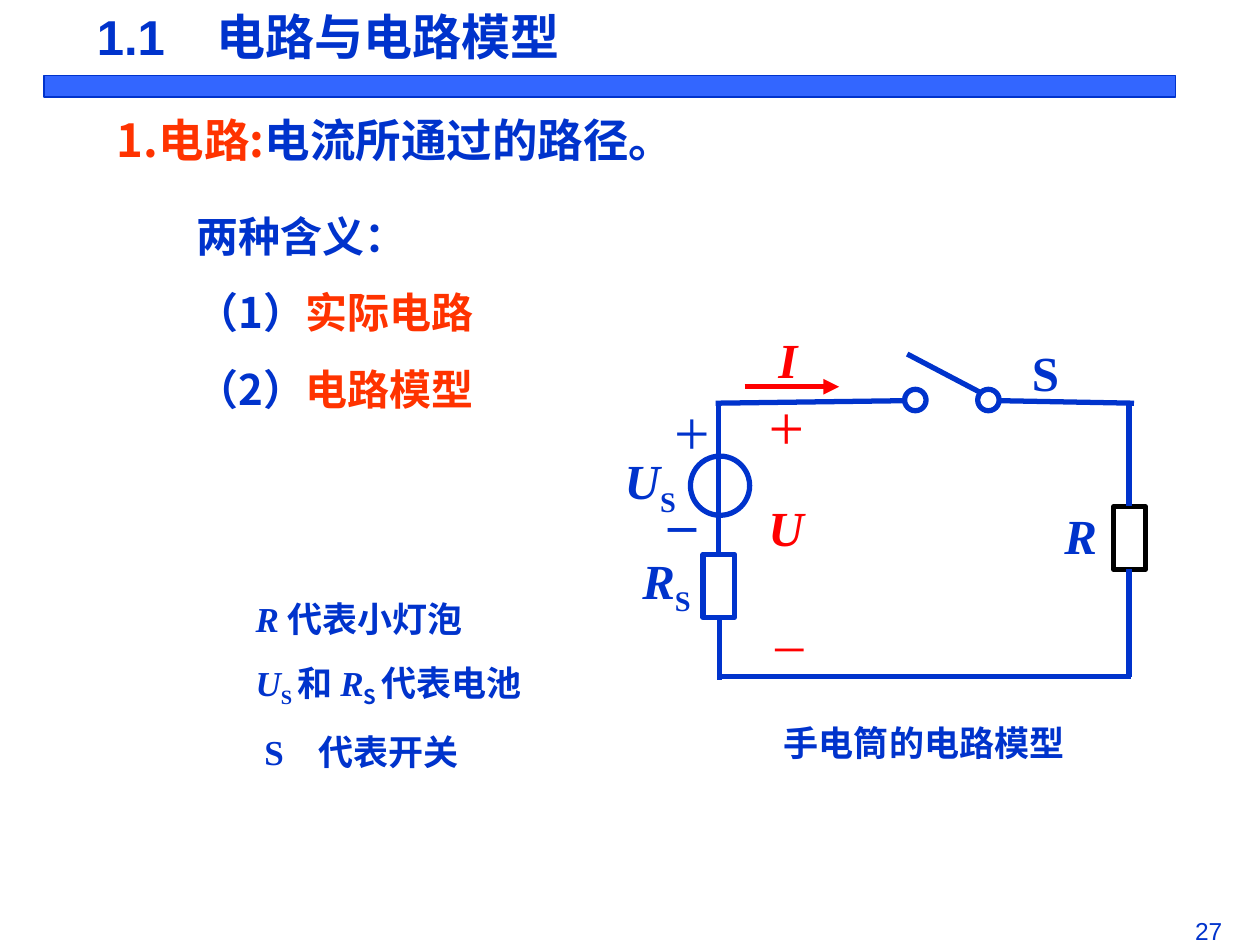
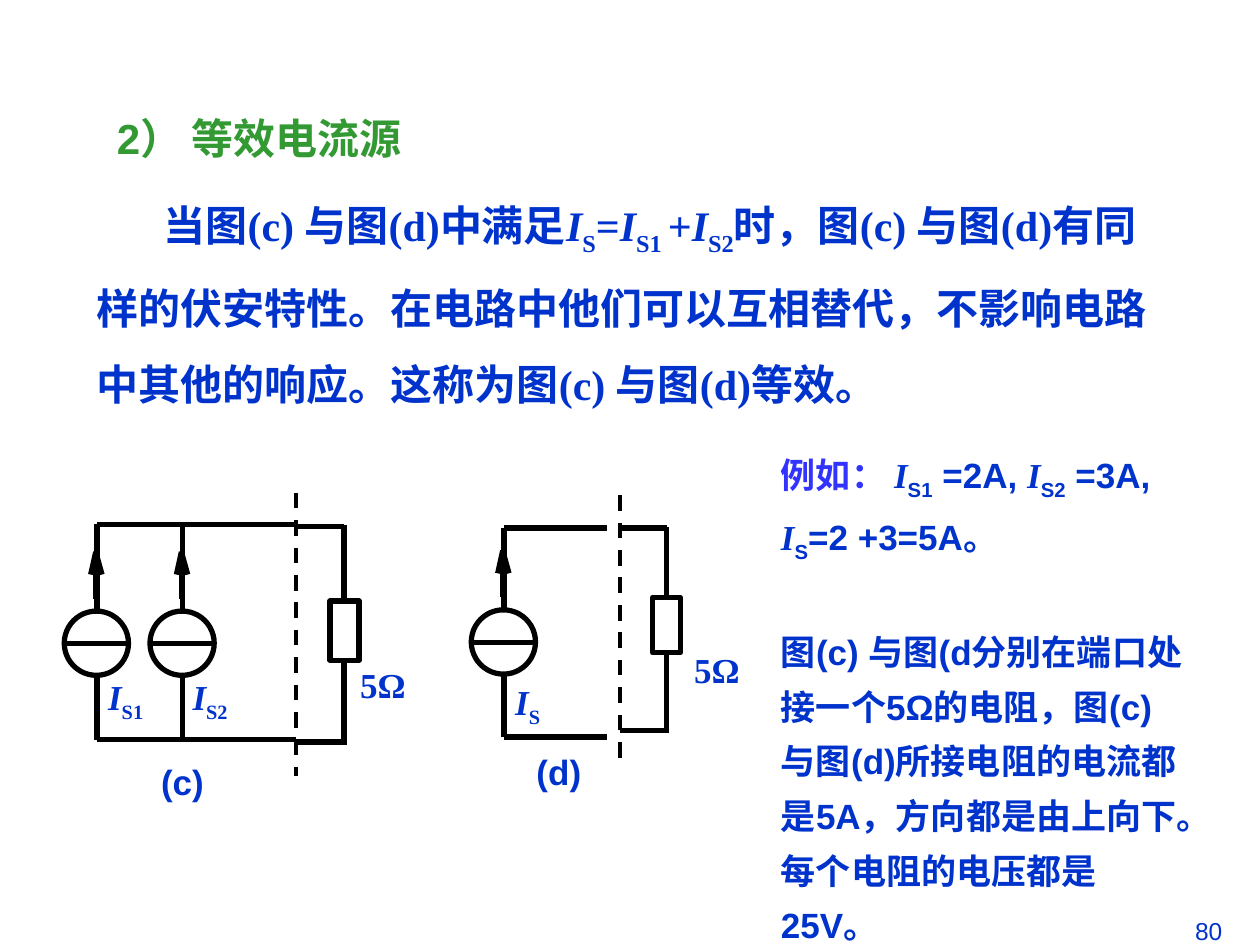
from dataclasses import dataclass
from typing import NamedTuple

from lxml.etree import SubElement
from pptx import Presentation
from pptx.dml.color import RGBColor as Rgb
from pptx.enum.dml import MSO_LINE as Dash
from pptx.enum.shapes import MSO_CONNECTOR as Link, MSO_SHAPE as Kind
from pptx.enum.text import PP_ALIGN as Align
from pptx.oxml.ns import qn
from pptx.util import Emu, Pt

PX = 9144
COLORS = {"blue": "0033CC", "bar": "3366FF", "lead": "3333FF", "orange": "FF3300",
          "red": "FF0000", "green": "339933", "black": "000000", "white": "FFFFFF"}
SANS, SERIF, HAN = "Arial", "Times New Roman", "Noto Sans CJK SC"


class Box(NamedTuple):
    """Place and size in px."""
    x: int
    y: int
    w: int
    h: int


class Run(NamedTuple):
    """Words with the format that differs from their box."""
    words: str
    fmt: dict


class Label(NamedTuple):
    """Short text set in one format."""
    box: Box
    runs: list
    fmt: dict


class Wire(NamedTuple):
    """Straight line between two points."""
    x1: int
    y1: int
    x2: int
    y2: int


@dataclass
class Cell:
    """Current sources on two rails, with a load behind a dashed port."""
    name: Label
    feeds: list[int]
    top: int
    low: int
    mid: int
    end: int
    port: Wire
    load: Box
    roof: int
    floor: int
    labels: list[Label]


def px(num: int) -> Emu:
    """Turn px into EMU."""
    return Emu(num * PX)


def rgb(name: str) -> Rgb:
    """Look up a colour."""
    return Rgb.from_string(COLORS[name])


def run(words: str, **fmt) -> Run:
    """Make a run."""
    return Run(words, fmt)


def var(name: str, sub: str, font: str = SERIF, **fmt) -> list[Run]:
    """Make an italic symbol with a subscript."""
    return [run(name, italic=True, font=SERIF, **fmt), run(sub, sub=True, font=font, **fmt)]


def style(item, size=20, font=SANS, color="blue", bold=True, italic=False, sub=False) -> None:
    """Format one run."""
    face = item.font
    face.size, face.name, face.bold, face.italic = Pt(size), font, bold, italic
    face.color.rgb = rgb(color)
    props = item._r.get_or_add_rPr()
    SubElement(props, qn("a:ea")).set("typeface", HAN)
    if sub:
        props.set("baseline", "-25000")


def text(slide, box: Box, paras: list, align=Align.LEFT, gap=0.0, line=None,
         indent=0, tab=0, **fmt) -> None:
    """Write paragraphs of runs; indent and tab apply to the last one."""
    frame = slide.shapes.add_textbox(*map(px, box)).text_frame
    frame.word_wrap = True
    for num, runs in enumerate(paras):
        para = frame.add_paragraph() if num else frame.paragraphs[0]
        para.alignment = align
        if num:
            para.space_before = Pt(gap)
        if line:
            para.line_spacing = line
        if num == len(paras) - 1:
            props = para._p.get_or_add_pPr()
            if indent:
                props.set("marL", "0")
                props.set("indent", str(px(indent)))
            if tab:
                stop = SubElement(SubElement(props, qn("a:tabLst")), qn("a:tab"))
                stop.set("pos", str(px(tab)))
                stop.set("algn", "l")
        for words, own in runs:
            item = para.add_run()
            item.text = words
            style(item, **{**fmt, **own})


def put(slide, labels: list[Label]) -> None:
    """Write a set of labels."""
    for box, runs, fmt in labels:
        text(slide, box, [runs], **fmt)


def shape(slide, kind, box: Box, color: str, fill: str = "", width: float = 3) -> None:
    """Draw an outlined shape."""
    item = slide.shapes.add_shape(kind, *map(px, box))
    item.shadow.inherit = False
    if fill:
        item.fill.solid()
        item.fill.fore_color.rgb = rgb(fill)
    else:
        item.fill.background()
    item.line.color.rgb = rgb(color)
    item.line.width = Pt(width)


def wire(slide, ends: Wire, color: str, width: float = 3, dash=None, arrow=False) -> None:
    """Draw a straight line."""
    item = slide.shapes.add_connector(Link.STRAIGHT, *map(px, ends))
    item.line.color.rgb = rgb(color)
    item.line.width = Pt(width)
    if dash:
        item.line.dash_style = dash
    if arrow:
        SubElement(item.line._get_or_add_ln(), qn("a:tailEnd")).set("type", "triangle")
    SubElement(item._element.spPr, qn("a:effectLst"))


def page(deck, num: int):
    """Add a blank slide with its page number."""
    slide = deck.slides.add_slide(deck.slide_layouts[6])
    text(slide, Box(730, 722, 250, 28), [[run(str(num))]], align=Align.RIGHT, size=14, bold=False)
    return slide


def feed(slide, x: int, cell: Cell) -> None:
    """Draw one current source and its arrow."""
    mid, tip = cell.mid, cell.mid - 72
    wire(slide, Wire(x, cell.top, x, cell.low), "black")
    shape(slide, Kind.OVAL, Box(x - 26, mid - 25, 51, 51), "black", "white")
    wire(slide, Wire(x - 26, mid + 1, x + 24, mid + 1), "black")
    for dx, dy in ((-5, 18), (4, 18), (-1, 37)):
        wire(slide, Wire(x - 1, tip, x + dx, tip + dy), "black")


def draw(slide, cell: Cell) -> None:
    """Draw a source circuit with its load."""
    for x in cell.feeds:
        feed(slide, x, cell)
    for y in (cell.top, cell.low):
        wire(slide, Wire(cell.feeds[0], y, cell.end, y), "black")
    side = cell.load.x + 11
    wire(slide, Wire(side, cell.roof - 1, side, cell.floor + 2), "black")
    shape(slide, Kind.RECTANGLE, cell.load, "black", "white")
    for y in (cell.roof, cell.floor):
        wire(slide, Wire(cell.port.x1, y, side, y), "black")
    wire(slide, cell.port, "black", 2.25, Dash.DASH)
    put(slide, [cell.name, *cell.labels])


def model(slide) -> None:
    """Draw the circuit model of the torch."""
    wires = [Wire(570, 440, 570, 318), Wire(571, 490, 571, 540), Wire(570, 537, 898, 537),
             Wire(896, 319, 896, 402), Wire(896, 452, 896, 537), Wire(568, 320, 719, 318),
             Wire(793, 318, 900, 320), Wire(779, 312, 720, 281)]
    shape(slide, Kind.RECTANGLE, Box(884, 402, 25, 50), "black")
    shape(slide, Kind.OVAL, Box(548, 362, 47, 47), "blue")
    shape(slide, Kind.RECTANGLE, Box(558, 440, 25, 50), "blue")
    for ends in wires:
        wire(slide, ends, "blue")
    wire(slide, Wire(591, 307, 666, 307), "red", arrow=True)
    for x in (718, 776):
        shape(slide, Kind.OVAL, Box(x, 309, 17, 17), "blue", "white")
    big = dict(size=28, font=SERIF)
    slant = dict(big, italic=True)
    plus = dict(size=36, font=SERIF, bold=False, align=Align.CENTER)
    minus = dict(plus, size=32)
    put(slide, [
        Label(Box(835, 396, 50, 57), [run("R")], slant),
        Label(Box(525, 307, 48, 70), [run("+")], plus),
        Label(Box(500, 432, 80, 63), var("R", "S"), big),
        Label(Box(486, 353, 80, 63), var("U", "S"), big),
        Label(Box(515, 382, 53, 64), [run("–")], dict(minus, bold=True)),
        Label(Box(809, 267, 58, 57), [run("S")], big),
        Label(Box(600, 303, 48, 70), [run("+")], dict(plus, color="red")),
        Label(Box(600, 390, 60, 57), [run("U")], dict(slant, color="red")),
        Label(Box(600, 477, 53, 64), [run("–")], dict(minus, color="red")),
        Label(Box(608, 257, 67, 57), [run("I")], dict(slant, color="red")),
        Label(Box(550, 568, 367, 44), [run("手电筒的电路模型")],
              dict(font=HAN, align=Align.CENTER)),
    ])


def first(deck) -> None:
    """Build the slide on circuits and their models."""
    slide = page(deck, 27)
    text(slide, Box(67, 0, 441, 57), [[run("1.1\t电路与电路模型")]], size=28, tab=95)
    text(slide, Box(83, 84, 803, 54),
         [[run("1.电路:", font=HAN, color="orange"), run("电流所通过的路径。")]], size=26)
    kinds = [[run(f"（{num}）"), run(name, color="orange")]
             for num, name in enumerate(("实际电路", "电路模型"), 1)]
    text(slide, Box(146, 162, 748, 172), [[run("两种含义：")], *kinds],
         size=24, font=HAN, gap=15)
    model(slide)
    text(slide, Box(193, 469, 268, 150), [
        [run("R ", font=SERIF, italic=True), run("代表小灯泡")],
        [*var("U", "S "), run("和 "), *var("R", "S ", HAN), run("代表电池")],
        [run("S\t代表开关", font=SERIF)],
    ], font=HAN, gap=12.5, indent=7, tab=31)
    shape(slide, Kind.RECTANGLE, Box(35, 60, 898, 17), "blue", "bar", 1)


def second(deck) -> None:
    """Build the slide on equivalent current sources."""
    slide = page(deck, 80)
    text(slide, Box(67, 131, 858, 199), [[
        run("当图(c) 与图(d)中满足"), *var("I", "S"), run("="), *var("I", "S1 "), run("+"),
        *var("I", "S2"),
        run("时，图(c) 与图(d)有同样的伏安特性。在电路中他们可以互相替代，"
            "不影响电路中其他的响应。这称为图(c) 与图(d)等效。"),
    ]], size=24, font=SERIF, line=1.5, indent=53)
    ohm = [run("5Ω", font=SERIF)]
    cells = [
        Cell(Label(Box(118, 599, 67, 44), [run("(c)")], {}), [77, 145], 416, 587, 510, 235,
             Wire(235, 391, 235, 616), Box(262, 477, 23, 47), 418, 589,
             [Label(Box(143, 531, 100, 48), var("I", "S2"), {}),
              Label(Box(76, 531, 100, 48), var("I", "S1"), {}),
              Label(Box(276, 522, 75, 44), ohm, {})]),
        Cell(Label(Box(416, 591, 67, 44), [run("(d)")], {}), [400], 419, 585, 509, 482,
             Wire(492, 393, 492, 606), Box(518, 474, 22, 44), 419, 580,
             [Label(Box(399, 535, 58, 48), var("I", "S"), {}),
              Label(Box(541, 510, 75, 44), ohm, {})]),
    ]
    for cell in cells:
        draw(slide, cell)
    text(slide, Box(610, 344, 343, 406), [
        [run("例如： ", color="lead"), *var("I", "S1", SANS), run(" =2A, "),
         *var("I", "S2", SANS), run(" =3A, "), *var("I", "S", SANS), run("=2 +3=5A。")],
        [run("图(c) 与图(d分别在端口处接一个5Ω的电阻，图(c) 与图(d)所接电阻的电流都是5A，"
             "方向都是由上向下。每个电阻的电压都是25V。")],
    ], line=1.3, gap=31)
    text(slide, Box(83, 84, 725, 50), [[run("2） 等效电流源")]], size=24, color="green")


def main() -> None:
    """Build and save the deck."""
    deck = Presentation()
    deck.slide_width, deck.slide_height = px(1000), px(750)
    first(deck)
    second(deck)
    deck.save("out.pptx")


if __name__ == "__main__":
    main()
